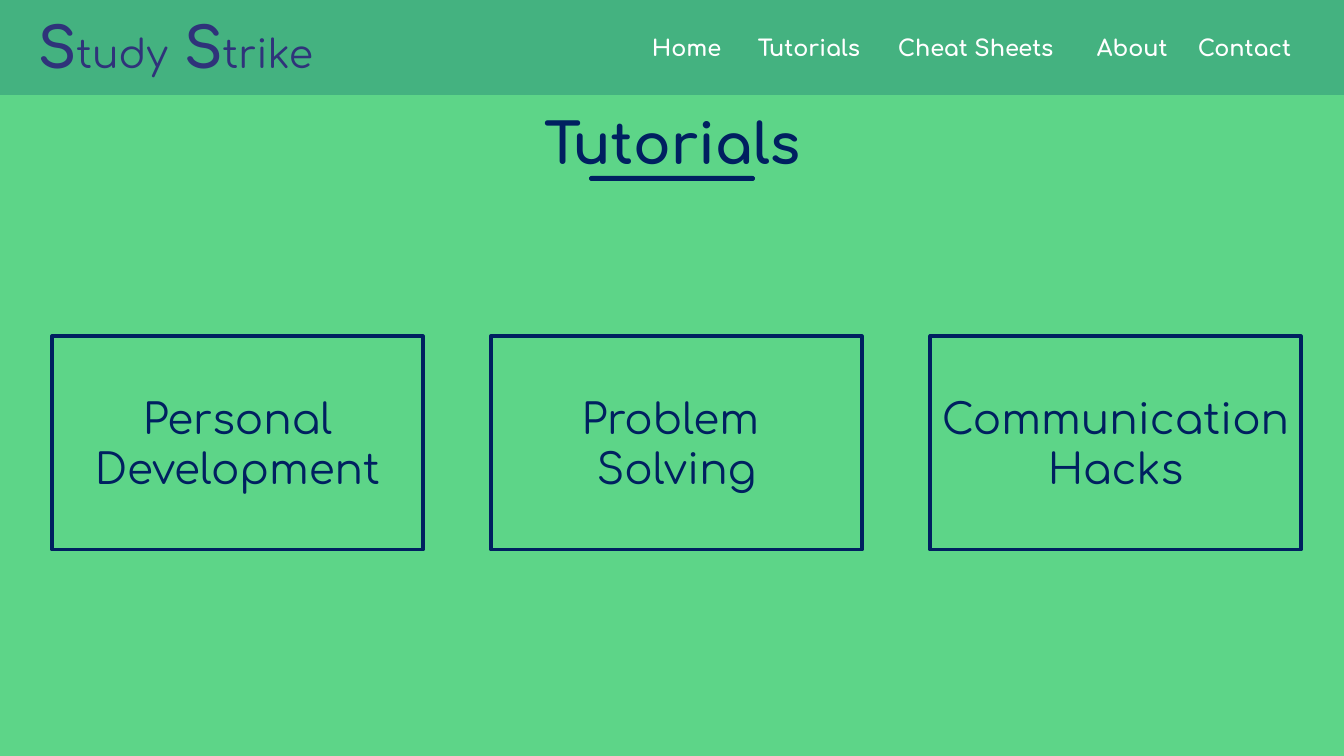
import pptx
import pptx.util
import pptx.dml.color
import pptx.enum.shapes
import pptx.enum.text

# Content
FONT = "Comfortaa"
HEX = {"page": "5DD588", "bar": "44B280", "navy": "002060",
       "brand": "2F337A", "white": "FFFFFF"}
TITLE = "Tutorials"
BRAND = [("S", 40, True), ("tudy", 28, False), (" ", 40, False),
         ("S", 40, True), ("trike", 28, False)]
MENU = [("Home", 106), ("Tutorials", 140), ("Cheat Sheets", 199),
        ("About", 101), ("Contact", 127)]  # label, width
CARDS = [["Personal Development"], ["Problem ", "Solving"],
         ["Communication Hacks"]]

# Layout in px
WIDE, HIGH = 1344, 756
MENU_X = 642
CARD_X, CARD_Y, CARD_W, CARD_H, STEP = 52, 336, 371, 214, 439

KIND = pptx.enum.shapes.MSO_SHAPE
MID = pptx.enum.text.PP_ALIGN.CENTER


def px(n):
    return round(n * 914400 / 100.8)


def color(name):
    return pptx.dml.color.RGBColor.from_string(HEX[name])


def add_runs(para, runs, tint, align=None):
    para.alignment = align
    for text, size, bold in runs:
        run = para.add_run()
        run.text = text
        font = run.font
        font.name, font.size, font.bold = FONT, pptx.util.Pt(size), bold
        font.color.rgb = color(tint)


def add_text(box, runs, tint, align=None):
    frame = slide.shapes.add_textbox(*map(px, box)).text_frame
    frame.word_wrap = True
    frame.auto_size = pptx.enum.text.MSO_AUTO_SIZE.SHAPE_TO_FIT_TEXT
    add_runs(frame.paragraphs[0], runs, tint, align)


def add_block(box, fill=None, line=None, kind=KIND.RECTANGLE):
    shape = slide.shapes.add_shape(kind, *map(px, box))
    shape.shadow.inherit = False
    if fill:
        shape.fill.solid()
        shape.fill.fore_color.rgb = color(fill)
    else:
        shape.fill.background()
    if line:
        shape.line.color.rgb = color(line)
        shape.line.width = pptx.util.Pt(2.25)
    else:
        shape.line.fill.background()
    return shape


deck = pptx.Presentation()
deck.slide_width, deck.slide_height = px(WIDE), px(HIGH)
slide = deck.slides.add_slide(deck.slide_layouts[6])

# Page and title
add_block((0, 0, WIDE, HIGH), "page")
add_text((0, 104, WIDE, 78), [(TITLE, 40, True)], "navy", MID)

# Top bar with site name and menu
add_block((0, 0, WIDE, 95), "bar")
add_text((28, 8, 306, 78), BRAND, "brand")
left = MENU_X
for label, width in MENU:
    add_text((left, 29, width, 37), [(label, 16, True)], "white")
    left += width

# Title underline
rule = add_block((589, 176, 166, 5), "navy", kind=KIND.ROUNDED_RECTANGLE)
rule.adjustments[0] = 0.5

# Cards
for i, lines in enumerate(CARDS):
    card = add_block((CARD_X + i * STEP, CARD_Y, CARD_W, CARD_H), line="navy")
    frame = card.text_frame
    frame.word_wrap = True
    frame.vertical_anchor = pptx.enum.text.MSO_ANCHOR.MIDDLE
    for j, text in enumerate(lines):
        para = frame.add_paragraph() if j else frame.paragraphs[0]
        add_runs(para, [(text, 30, False)], "navy", MID)

deck.save("out.pptx")
